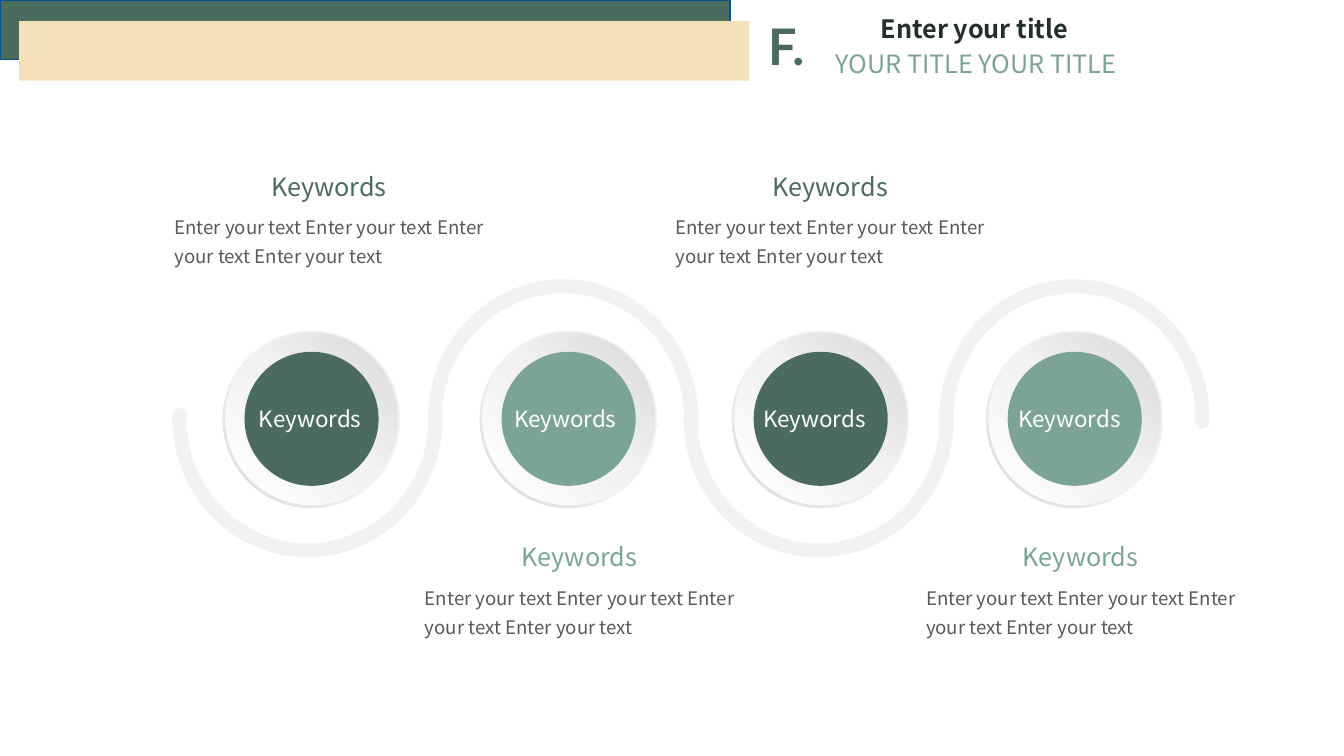
from copy import deepcopy

from pptx import Presentation
from pptx.dml.color import RGBColor
from pptx.enum.shapes import MSO_SHAPE
from pptx.enum.text import MSO_AUTO_SIZE, PP_ALIGN
from pptx.oxml.ns import qn
from pptx.util import Inches, Pt

RECT, OVAL = MSO_SHAPE.RECTANGLE, MSO_SHAPE.OVAL
ARC, DONUT = MSO_SHAPE.ARC, MSO_SHAPE.DONUT
FIT_SHAPE = MSO_AUTO_SIZE.SHAPE_TO_FIT_TEXT
LEFT, CENTER = PP_ALIGN.LEFT, PP_ALIGN.CENTER

DARK_GREEN = RGBColor(0x4B, 0x6B, 0x5E)
LIGHT_GREEN = RGBColor(0x7C, 0xA4, 0x94)
SAND = RGBColor(0xF5, 0xE1, 0xB9)
BLUE = RGBColor(0x00, 0x53, 0x8E)
INK = RGBColor(0x24, 0x2F, 0x2C)
BODY_GRAY = RGBColor(0x59, 0x59, 0x59)
PALE_GRAY = RGBColor(0xF2, 0xF2, 0xF2)
MID_GRAY = RGBColor(0xD9, 0xD9, 0xD9)
WHITE = RGBColor(0xFF, 0xFF, 0xFF)

SANS = "Noto Sans CJK SC"
LATO = "Lato"

RIM_STOPS = [(0, PALE_GRAY), (0.55, PALE_GRAY), (1, MID_GRAY)]
DISH_STOPS = [(0, WHITE), (0.51, PALE_GRAY), (1, MID_GRAY)]

ARC_LEFT, ARC_STEP = 1.78, 2.535
CAPTION_LEFT, CAPTION_STEP = 1.6, 2.485
# badge left, badge label left, colour, caption top
STEPS = [
    (2.21, 2.47, DARK_GREEN, 2.01),
    (4.76, 5.0, LIGHT_GREEN, 5.69),
    (7.26, 7.47, DARK_GREEN, 2.01),
    (9.78, 10.0, LIGHT_GREEN, 5.69),
]


def add_text(parent, text, left, top, width, height, *, size, color, font=SANS,
             bold=False, align=LEFT, spacing=None, insets=(0.1, 0.05), wrap=True):
    """Add a one-paragraph text box; insets are (horizontal, vertical)."""
    box = parent.shapes.add_textbox(Inches(left), Inches(top), Inches(width), Inches(height))
    tf = box.text_frame
    tf.word_wrap = wrap
    tf.auto_size = FIT_SHAPE
    tf.margin_left = tf.margin_right = Inches(insets[0])
    tf.margin_top = tf.margin_bottom = Inches(insets[1])
    p = tf.paragraphs[0]
    p.alignment = align
    p.line_spacing = spacing
    r = p.add_run()
    r.text = text
    r.font.name = font
    r.font.size = Pt(size)
    r.font.bold = bold
    r.font.color.rgb = color


def add_shape(parent, kind, left, top, width, height, fill=None):
    s = parent.shapes.add_shape(kind, Inches(left), Inches(top), Inches(width), Inches(height))
    s.shadow.inherit = False
    s.line.fill.background()
    if fill is None:
        s.fill.background()
    else:
        s.fill.solid()
        s.fill.fore_color.rgb = fill
    return s


def set_gradient(s, stops, angle):
    """Fill with three (position, colour) stops; angle is counter-clockwise."""
    s.fill.gradient()
    s.fill.gradient_angle = angle
    gs_list = s._element.spPr.find(".//" + qn("a:gsLst"))
    gs_list.insert(1, deepcopy(gs_list[0]))
    for stop, (position, color) in zip(s.fill.gradient_stops, stops):
        stop.position = position
        stop.color.rgb = color


def add_header(slide):
    bar = add_shape(slide, RECT, 0, 0, 7.24, 0.59, DARK_GREEN)
    bar.line.color.rgb = BLUE
    bar.line.width = Pt(1)
    add_text(slide, "Enter your title", 8.1, 0.08, 3.13, 0.4,
             size=18, color=INK, bold=True, align=CENTER)
    add_shape(slide, RECT, 0.19, 0.21, 7.24, 0.59, SAND)
    add_text(slide, "F.", 7.52, 0.1, 0.71, 0.71,
             size=36, color=DARK_GREEN, font=LATO, bold=True, wrap=False)
    add_text(slide, "YOUR TITLE YOUR TITLE", 8.19, 0.43, 3.13, 0.4,
             size=18, color=LIGHT_GREEN)


def add_wave(slide):
    """Chain half-circle arcs, turning every second one over."""
    wave = slide.shapes.add_group_shape()
    for i in range(len(STEPS)):
        flipped = i % 2 == 1
        s = add_shape(wave, ARC, ARC_LEFT + i * ARC_STEP, 2.84 if flipped else 2.85, 2.54, 2.61)
        s.adjustments[0] = 214.497
        s.adjustments[1] = 109.003
        s.rotation = 180 if flipped else 0
        s.line.color.rgb = PALE_GRAY
        s.line.width = Pt(10)
        s.line._ln.set("cap", "rnd")


def add_badge(slide, left, color):
    badge = slide.shapes.add_group_shape()
    rim = add_shape(badge, DONUT, left, 3.28, 1.76, 1.76)
    rim.adjustments[0] = 0.049
    set_gradient(rim, RIM_STOPS, 225)
    dish = add_shape(badge, OVAL, left + 0.025, 3.3, 1.71, 1.71)
    set_gradient(dish, DISH_STOPS, 45)
    add_shape(badge, OVAL, left + 0.215, 3.49, 1.33, 1.33, color)


def add_caption(slide, left, top, color):
    caption = slide.shapes.add_group_shape()
    add_text(caption, "Enter your text Enter your text Enter your text Enter your text",
             left, top, 3.39, 0.69, size=13.3, color=BODY_GRAY, spacing=1.3,
             insets=(0.13, 0.07))
    add_text(caption, "Keywords", left + 0.96, top - 0.465, 1.47, 0.4,
             size=18, color=color, spacing=1.5, insets=(0.13, 0))


def main():
    prs = Presentation()
    prs.slide_width, prs.slide_height = Inches(13.33), Inches(7.5)
    slide = prs.slides.add_slide(prs.slide_layouts[6])
    add_header(slide)
    add_wave(slide)
    for i, (badge_left, label_left, color, caption_top) in enumerate(STEPS):
        add_caption(slide, CAPTION_LEFT + i * CAPTION_STEP, caption_top, color)
        add_badge(slide, badge_left, color)
        add_text(slide, "Keywords", label_left, 3.97, 1.29, 0.37, size=16, color=WHITE)
    prs.save("out.pptx")


if __name__ == "__main__":
    main()
